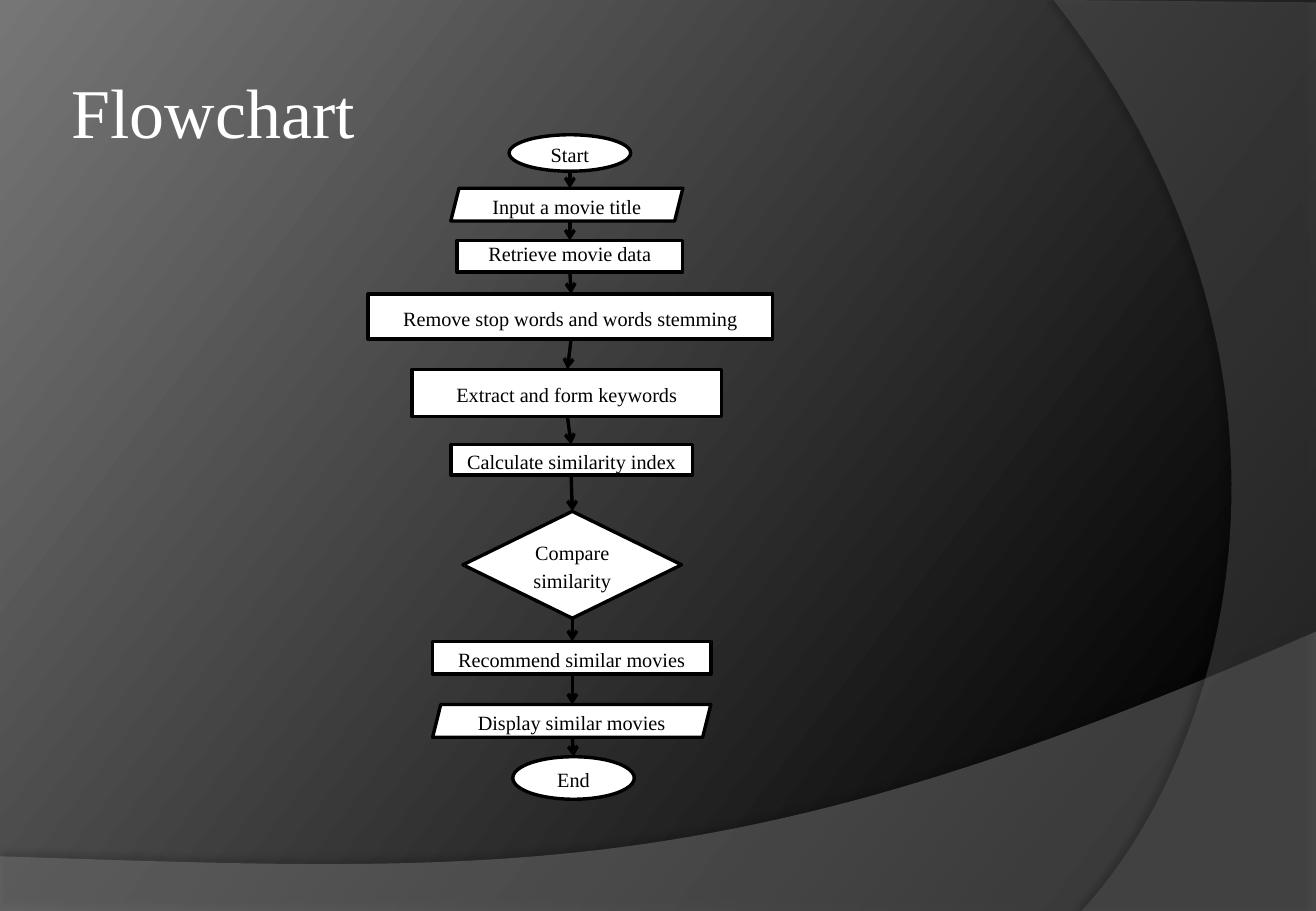
from lxml import etree
from pptx import Presentation
from pptx.dml.color import RGBColor
from pptx.enum.shapes import MSO_CONNECTOR, MSO_SHAPE
from pptx.enum.text import MSO_ANCHOR, PP_ALIGN
from pptx.oxml.ns import qn
from pptx.util import Inches, Pt

OVAL, RECT = MSO_SHAPE.OVAL, MSO_SHAPE.RECTANGLE
SLANT, DIAMOND = MSO_SHAPE.PARALLELOGRAM, MSO_SHAPE.DIAMOND
STRAIGHT = MSO_CONNECTOR.STRAIGHT
MIDDLE, BOTTOM = MSO_ANCHOR.MIDDLE, MSO_ANCHOR.BOTTOM
CENTER, LEFT = PP_ALIGN.CENTER, PP_ALIGN.LEFT
COLORS = {"black": "000000", "white": "FFFFFF", "glow": "767676",
          "hill": "7F7F7F", "arc": "5E5E5E"}
RGB = {name: RGBColor.from_string(code) for name, code in COLORS.items()}
FONT = "Times New Roman"


def write(shape, text, size, color, anchor, layout):
    frame = shape.text_frame
    frame.word_wrap = True
    frame.vertical_anchor = anchor
    para = frame.paragraphs[0]
    for name, value in layout.items():
        setattr(para, name, value)
    run = para.add_run()
    run.text = text
    run.font.name, run.font.size = FONT, Pt(size)
    run.font.color.rgb = RGB[color]


def add(parent, tag, **attrs):
    node = etree.SubElement(parent, qn(tag))
    for name, value in attrs.items():
        node.set(name, str(value))
    return node


deck = Presentation()
deck.slide_width, deck.slide_height = Inches(10.83), Inches(7.5)
slide = deck.slides.add_slide(deck.slide_layouts[6])

# Background gradient
back = slide.background.fill
back.gradient()
back.gradient_angle = 143
for stop, (place, color) in zip(back.gradient_stops,
                                [(0.09, "black"), (1, "glow")]):
    stop.position = place
    stop.color.rgb = RGB[color]

# Translucent waves: corners, curve (two controls and end), color, opacity,
# shadow opacity, blur, distance and angle
waves = [
    ([(0, 7.5), (10.83, 7.5), (10.83, 5.2)],
     [(6.06, 7.29), (4.23, 7.19), (0, 7.05)], "hill", 45, (35, 4, 3.5, 270)),
    ([(10.83, 0.02), (10.83, 7.5), (8.9, 7.5)],
     [(10.12, 6.19), (11.02, 3), (8.67, 0)], "arc", 40, (45, 4, 4, 180)),
]
STEPS = 60
for corners, curve, color, alpha, (dark, blur, dist, angle) in waves:
    knots = [corners[-1], *curve]
    points = list(corners)
    for step in range(1, STEPS + 1):
        t = step / STEPS
        parts = [(1 - t) ** 3, 3 * t * (1 - t) ** 2, 3 * t ** 2 * (1 - t), t ** 3]
        points.append(tuple(sum(part * knot[axis] for part, knot in zip(parts, knots))
                            for axis in (0, 1)))
    points = [(Inches(x), Inches(y)) for x, y in points]
    path = slide.shapes.build_freeform(*points[0])
    path.add_line_segments(points[1:], close=True)
    wave = path.convert_to_shape()
    wave.fill.solid()
    wave.fill.fore_color.rgb = RGB[color]
    wave.line.fill.background()
    wave.shadow.inherit = False
    props = wave.element.spPr
    add(props.find(".//" + qn("a:srgbClr")), "a:alpha", val=alpha * 1000)
    shade = add(props.find(qn("a:effectLst")), "a:outerShdw", blurRad=Pt(blur),
                dist=Pt(dist), dir=angle * 60000, algn="ctr", rotWithShape=0)
    add(add(shade, "a:srgbClr", val=COLORS["black"]), "a:alpha", val=dark * 1000)

# Title
title = slide.shapes.add_textbox(Inches(0.54), Inches(0.3), Inches(8.85), Inches(0.87))
for side in ("left", "right", "top", "bottom"):
    setattr(title.text_frame, "margin_" + side, Inches(0.05))
write(title, "Flowchart", 41.4, "white", MIDDLE,
      {"alignment": LEFT, "line_spacing": 1.5})

# Flow steps: text, kind, left, top, width, height, arrow x
flow = [
    ("Start", OVAL, 4.19, 1.11, 1, 0.3, 4.69),
    ("Input a movie title", SLANT, 3.71, 1.55, 1.91, 0.27, 4.69),
    ("Retrieve movie data", RECT, 3.76, 1.98, 1.86, 0.26, 4.69),
    ("Remove stop words and words stemming", RECT, 3.03, 2.42, 3.33, 0.37, 4.7),
    ("Extract and form keywords", RECT, 3.39, 3.04, 2.55, 0.39, 4.67),
    ("Calculate similarity index", RECT, 3.71, 3.66, 1.99, 0.25, 4.7),
    ("Compare similarity", DIAMOND, 3.81, 4.21, 1.8, 0.88, 4.71),
    ("Recommend similar movies", RECT, 3.56, 5.28, 2.29, 0.27, 4.71),
    ("Display similar movies", SLANT, 3.56, 5.8, 2.29, 0.27, 4.71),
    ("End", OVAL, 4.22, 6.23, 1, 0.35, 4.72),
]
group = slide.shapes.add_group_shape().shapes
for text, kind, left, top, width, height, _ in flow:
    box = group.add_shape(kind, Inches(left), Inches(top), Inches(width), Inches(height))
    box.shadow.inherit = False
    box.fill.solid()
    box.fill.fore_color.rgb = RGB["white"]
    box.line.color.rgb = RGB["black"]
    box.line.width = Pt(2)
    anchor = BOTTOM if text == "Retrieve movie data" else MIDDLE
    write(box, text, 12, "black", anchor,
          {"alignment": CENTER, "line_spacing": 1.15, "space_after": Pt(10)})

# Arrows from each step to the next
for (*_, top, _, height, x), (*_, end, _, _, goal) in zip(flow, flow[1:]):
    arrow = group.add_connector(STRAIGHT, Inches(x), Inches(top + height),
                                Inches(goal), Inches(end))
    arrow.line.color.rgb = RGB["black"]
    arrow.line.width = Pt(2)
    props = arrow.element.spPr
    add(props.find(qn("a:ln")), "a:tailEnd", type="arrow")
    add(props, "a:effectLst")

deck.save("out.pptx")
